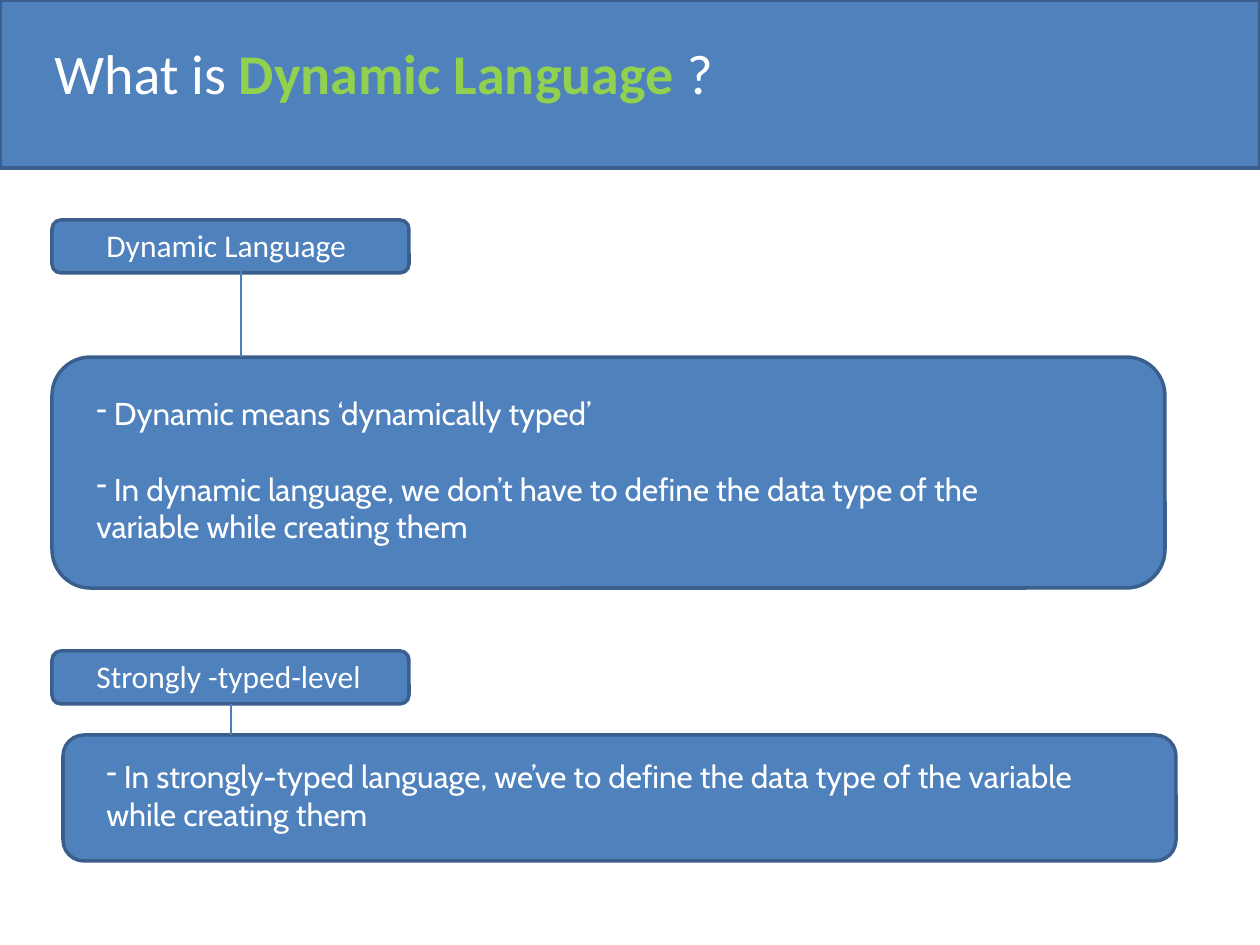
from lxml import etree
from pptx import Presentation
from pptx.dml.color import RGBColor
from pptx.enum.shapes import MSO_CONNECTOR, MSO_SHAPE
from pptx.enum.text import MSO_AUTO_SIZE
from pptx.oxml.ns import qn
from pptx.util import Emu, Pt

RECT = MSO_SHAPE.RECTANGLE
ROUNDED = MSO_SHAPE.ROUNDED_RECTANGLE
STRAIGHT = MSO_CONNECTOR.STRAIGHT
FIT_TEXT = MSO_AUTO_SIZE.SHAPE_TO_FIT_TEXT

PX_PER_INCH = 126


def px(n):
    return Emu(round(n * 914400 / PX_PER_INCH))


def color(value):
    return RGBColor.from_string(value)


class Deck:
    FILL, OUTLINE, LINK = "4F81BD", "3A5F8C", "4B7EBC"
    WHITE, ACCENT = "FFFFFF", "92D050"
    HEADING, BODY = "Calibri", "Cabin"

    def __init__(self, width, height):
        self.prs = Presentation()
        self.prs.slide_width, self.prs.slide_height = px(width), px(height)
        self.slide = self.prs.slides.add_slide(self.prs.slide_layouts[6])

    def box(self, shape, x, y, w, h):
        sp = self.slide.shapes.add_shape(shape, px(x), px(y), px(w), px(h))
        sp.shadow.inherit = False
        sp.fill.solid()
        sp.fill.fore_color.rgb = color(self.FILL)
        sp.line.color.rgb = color(self.OUTLINE)
        sp.line.width = Pt(2)

    def text_frame(self, x, y, w, h):
        tf = self.slide.shapes.add_textbox(px(x), px(y), px(w), px(h)).text_frame
        tf.word_wrap = True
        tf.auto_size = FIT_TEXT
        return tf

    def style(self, r, font, size, rgb=WHITE, bold=False):
        r.font.name, r.font.size, r.font.bold = font, Pt(size), bold
        r.font.color.rgb = color(rgb)

    def heading(self, x, y, w, h, parts, size=18):
        """parts: (text, highlighted) pairs on one line."""
        p = self.text_frame(x, y, w, h).paragraphs[0]
        for text, highlighted in parts:
            r = p.add_run()
            r.text = text
            rgb = self.ACCENT if highlighted else self.WHITE
            self.style(r, self.HEADING, size, rgb, highlighted)

    def dashes(self, x, y, w, h, items):
        tf = self.text_frame(x, y, w, h)
        for i, item in enumerate(items):
            p = tf.add_paragraph() if i else tf.paragraphs[0]
            p.text = item
            self.style(p.runs[0], self.BODY, 18)
            if i:
                p.space_before = Pt(21.5)
            pPr = p._p.get_or_add_pPr()
            pPr.set("marL", "0")
            pPr.set("indent", "0")
            etree.SubElement(pPr, qn("a:buChar")).set("char", "-")

    def link(self, x, top, bottom):
        line = self.slide.shapes.add_connector(
            STRAIGHT, px(x), px(top), px(x), px(bottom))
        line.line.color.rgb = color(self.LINK)
        line.line.width = Pt(0.75)
        etree.SubElement(line._element.spPr, qn("a:effectLst"))


def main():
    deck = Deck(1260, 945)

    # Title band
    deck.box(RECT, 0, 0, 1260, 168)
    deck.heading(42, 32, 1197, 81, [
        ("What is ", False), ("Dynamic Language ", True), ("?", False)], 32)

    # Dynamic language
    deck.box(ROUNDED, 52, 357, 1113, 231)
    deck.dashes(84, 388, 1008, 165, [
        " Dynamic means ‘dynamically typed’",
        " In dynamic language, we don’t have to define the data type of the "
        "variable while creating them"])
    deck.box(ROUNDED, 52, 220, 357, 53)
    deck.heading(94, 220, 294, 50, [("Dynamic Language", False)])
    deck.link(241, 271, 357)

    # Strongly typed language
    deck.box(ROUNDED, 52, 651, 357, 53)
    deck.heading(84, 651, 325, 50, [("Strongly -typed-level", False)])
    deck.box(ROUNDED, 63, 735, 1113, 126)
    deck.dashes(94, 751, 1008, 89, [
        " In strongly-typed language, we’ve to define the data type of the "
        "variable while creating them"])
    deck.link(231, 704, 735)

    deck.prs.save("out.pptx")


if __name__ == "__main__":
    main()
